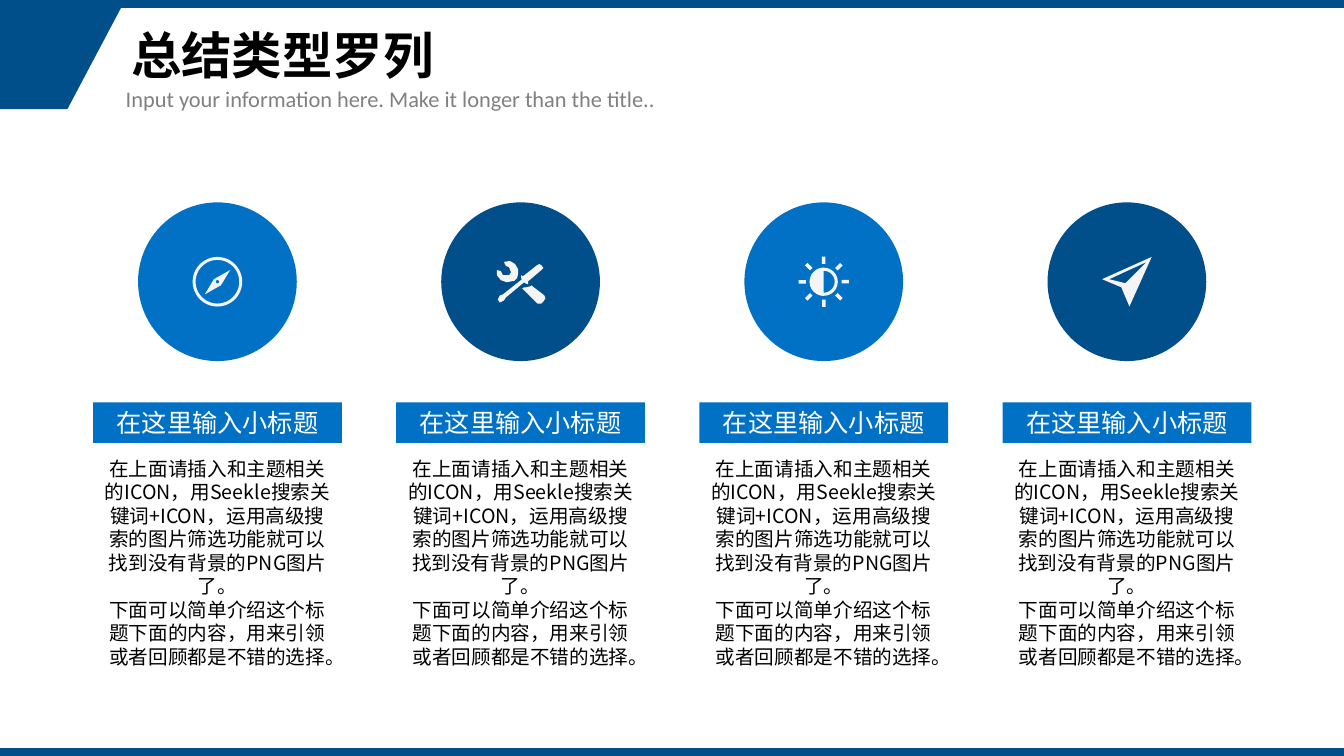
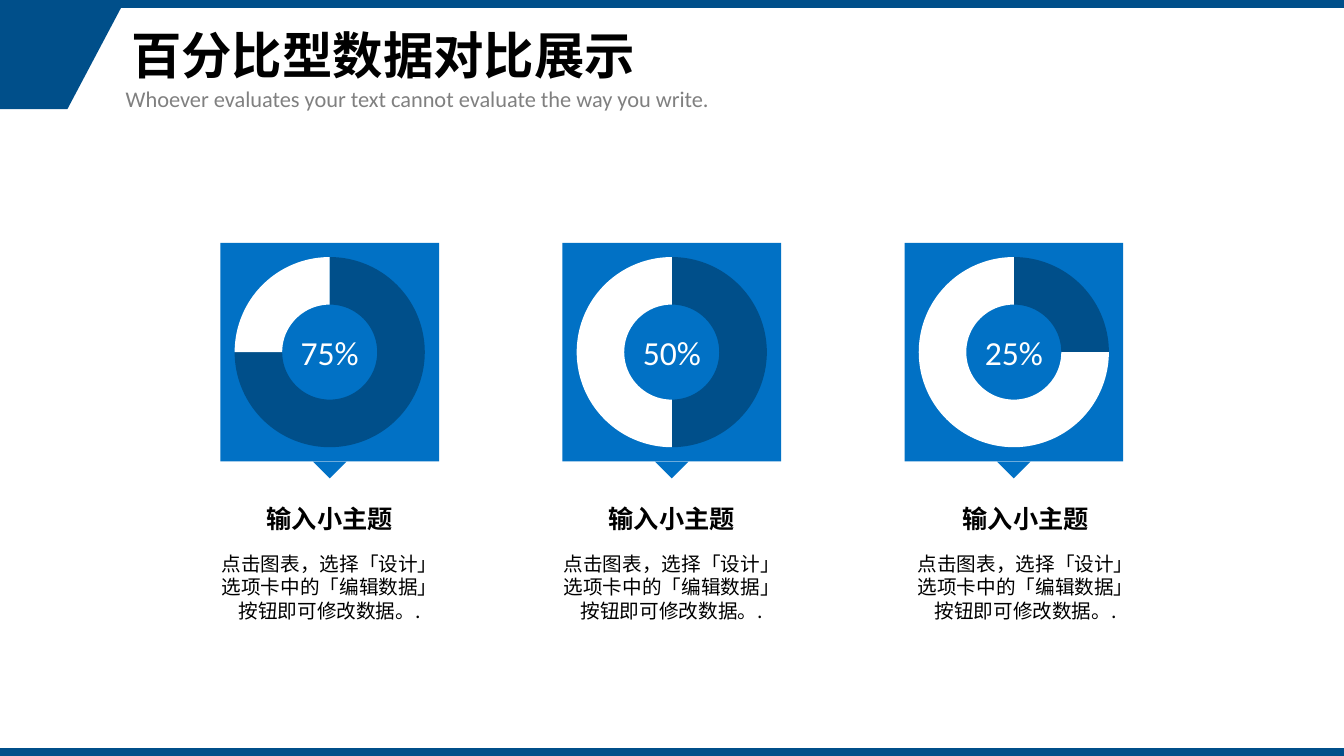
"""Build two slides: a four-column list of types and a comparison of percentages."""
from lxml import etree
from pptx import Presentation
from pptx import util as u
from pptx.chart import data as chart_data
from pptx.dml.color import RGBColor
from pptx.enum import chart as ch, shapes as sh, text as tx
from pptx.oxml import ns, parse_xml

NAVY = RGBColor(0x00, 0x4F, 0x8A)
BLUE = RGBColor(0x01, 0x71, 0xC5)
WHITE = RGBColor(0xFF, 0xFF, 0xFF)
PALE = RGBColor(0xF5, 0xF5, 0xF5)
GREY = RGBColor(0x80, 0x80, 0x80)
BLACK = RGBColor(0x00, 0x00, 0x00)

HAN, LATIN = "Noto Sans CJK SC", "Calibri"
LEFT, CENTER = tx.PP_ALIGN.LEFT, tx.PP_ALIGN.CENTER


def style(size, color, name=HAN, bold=False, align=CENTER, spacing=None):
    font = {"size": u.Pt(size), "name": name, "bold": bold}
    return {"font": font, "color": color,
            "paragraph": {"alignment": align, "line_spacing": spacing}}


TITLE = style(36, BLACK, bold=True, align=LEFT, spacing=0.9)
SUBTITLE = style(16, GREY, LATIN, align=LEFT)
LABEL = style(18, WHITE)
BODY = style(14, BLACK, spacing=u.Pt(16.8))
CAPTION = style(18, BLACK, bold=True, spacing=u.Pt(21.6))
PERCENT = style(24, WHITE, LATIN)

TYPES_TITLE = ("总结类型罗列",
               "Input your information here. Make it longer than the title..")
SHARES_TITLE = ("百分比型数据对比展示",
                "Whoever evaluates your text cannot evaluate the way you write.")
TYPE_LABEL = "在这里输入小标题"
TYPE_TEXT = [
    "在上面请插入和主题相关的ICON，用Seekle搜索关键词+ICON，运用高级搜索的图片筛选功能就可以找到没有背景的PNG图片了。",
    "下面可以简单介绍这个标题下面的内容，用来引领或者回顾都是不错的选择。",
]
SHARE_CAPTION = "输入小主题"
SHARE_TEXT = ["点击图表，选择「设计」选项卡中的「编辑数据」按钮即可修改数据。."]
SHARES = [(75, 0), (50, 0), (25, 0.3)]

ICON, GRID = 1.25, 49
NEEDLE = [(12, 37), (28, 28), (37, 13), (21, 22)]
WRENCH_HEAD = [(5, 23), (11, 25), (16, 24), (18, 24), (21, 21), (22, 17), (22, 12),
               (19, 7), (14, 4), (8, 5), (10, 9), (13, 10), (15, 15), (14, 17),
               (13, 18), (7, 18), (5, 14), (1, 13), (1, 18)]
WRENCH_GRIP = [(48, 38), (35, 28), (34, 29), (30, 30), (28, 30), (26, 31),
               (41, 46), (45, 46), (47, 44), (49, 41)]
SCREWDRIVER = [(29, 26), (32, 27), (32, 24), (45, 13), (47, 11), (45, 8), (43, 7),
               (41, 8), (27, 19), (25, 18), (25, 21), (26, 22), (7, 37), (4, 38),
               (2, 42), (4, 45), (8, 43), (10, 40), (28, 25)]
PLANE = [(0, 22), (19, 30), (27, 49), (49, 0)]
PLANE_FOLD = [(23, 26), (7, 22), (44, 5)]
CORNER = [(0, 20), (305, 20), (170, 275), (0, 275)]

SLIDE_W, SLIDE_H, BAND_H = 33.87, 19.05, 0.2
TEXT_W = 6.27


def paint(shape, color):
    shape.shadow.inherit = False
    shape.fill.solid()
    shape.fill.fore_color.rgb = color
    shape.line.fill.background()
    return shape


def add_preset(shapes, kind, box, color, adjustments=()):
    shape = paint(shapes.add_shape(kind, *map(u.Cm, box)), color)
    for index, value in enumerate(adjustments):
        shape.adjustments[index] = value
    return shape


def add_outline(shapes, contours, color, scale, origin=(0, 0)):
    first, *holes = contours
    builder = shapes.build_freeform(*first[0], scale=scale)
    builder.add_line_segments(first[1:], close=True)
    for hole in holes:
        builder.move_to(*hole[0])
        builder.add_line_segments(hole[1:], close=True)
    return paint(builder.convert_to_shape(*map(u.Cm, origin)), color)


def write(frame, lines, look):
    frame.word_wrap = True
    for index, line in enumerate(lines):
        paragraph = frame.add_paragraph() if index else frame.paragraphs[0]
        for key, value in look["paragraph"].items():
            setattr(paragraph, key, value)
        run = paragraph.add_run()
        run.text = line
        for key, value in look["font"].items():
            setattr(run.font, key, value)
        run.font.color.rgb = look["color"]
        latin = run.font._element.find(ns.qn("a:latin"))
        east_asian = etree.Element(ns.qn("a:ea"), typeface=look["font"]["name"])
        latin.addnext(east_asian)


def add_text(shapes, box, lines, look):
    write(shapes.add_textbox(*map(u.Cm, box)).text_frame, lines, look)


def prepare_layout(prs):
    layout = prs.slide_layouts[5]
    for holder in list(layout.placeholders):
        if holder.placeholder_format.idx:
            holder.element.getparent().remove(holder.element)
    place = {"left": 3.05, "top": 0.2, "width": 28.5, "height": 2.54}
    for key, value in place.items():
        setattr(layout.placeholders[0], key, u.Cm(value))
    return layout


def decorate(layout, slide):
    """Draw the bands and move them to the layout, so that every slide shows them."""
    bands = [add_preset(slide.shapes, sh.MSO_SHAPE.RECTANGLE,
                        (0, top, SLIDE_W, BAND_H), NAVY)
             for top in (SLIDE_H - BAND_H, 0)]
    bands.append(add_outline(slide.shapes, [CORNER], NAVY, u.Cm(0.01)))
    for band in bands:
        layout.shapes.element.insert(2, band.element)


def add_titles(slide, titles):
    title, subtitle = titles
    frame = slide.shapes.title.text_frame
    frame.auto_size = tx.MSO_AUTO_SIZE.NONE
    frame.vertical_anchor = tx.MSO_ANCHOR.MIDDLE
    write(frame, [title], TITLE)
    add_text(slide.shapes, (2.92, 2.03, 19.8, 0.94), [subtitle], SUBTITLE)


def centred(x, y, width, height):
    return x - width / 2, y - height / 2, width, height


def draw_polygons(shapes, x, y, *polygons):
    origin = centred(x, y, ICON, ICON)[:2]
    for contours in polygons:
        add_outline(shapes, contours, PALE, u.Cm(ICON) / GRID, origin)


def draw_compass(shapes, x, y):
    add_preset(shapes, sh.MSO_SHAPE.DONUT, centred(x, y, ICON, ICON), PALE, [0.06])
    draw_polygons(shapes, x, y, [NEEDLE])
    add_preset(shapes, sh.MSO_SHAPE.OVAL, centred(x, y, 0.08, 0.08), BLUE)


def draw_tools(shapes, x, y):
    draw_polygons(shapes, x, y, [WRENCH_HEAD], [WRENCH_GRIP], [SCREWDRIVER])


def draw_sun(shapes, x, y):
    disc = centred(x, y, 0.71, 0.71)
    add_preset(shapes, sh.MSO_SHAPE.DONUT, disc, PALE, [0.11])
    add_preset(shapes, sh.MSO_SHAPE.CHORD, disc, PALE, [54, 162])
    reach, diagonal = 0.54, 0.38
    offsets = [(0, -reach), (diagonal, -diagonal), (reach, 0), (diagonal, diagonal),
               (0, reach), (-diagonal, diagonal), (-reach, 0), (-diagonal, -diagonal)]
    for step, (dx, dy) in enumerate(offsets):
        ray = add_preset(shapes, sh.MSO_SHAPE.RECTANGLE,
                         centred(x + dx, y + dy, 0.09, 0.18), PALE)
        ray.rotation = 45 * step


def draw_plane(shapes, x, y):
    draw_polygons(shapes, x, y, [PLANE, PLANE_FOLD])


def build_types(slide):
    add_titles(slide, TYPES_TITLE)
    icons = [draw_compass, draw_tools, draw_sun, draw_plane]
    circle_y = 7.1
    for column, draw_icon in enumerate(icons):
        x = 5.48 + 7.64 * column
        shapes = slide.shapes.add_group_shape().shapes
        add_preset(shapes, sh.MSO_SHAPE.OVAL, centred(x, circle_y, 4, 4),
                   NAVY if column % 2 else BLUE)
        draw_icon(shapes, x, circle_y)
        left = x - TEXT_W / 2
        label = add_preset(shapes, sh.MSO_SHAPE.RECTANGLE,
                           (left, 10.14, TEXT_W, 1.02), BLUE)
        write(label.text_frame, [TYPE_LABEL], LABEL)
        add_text(shapes, (left, 11.38, TEXT_W, 5.64), TYPE_TEXT, BODY)


def add_doughnut(slide, box, share):
    data = chart_data.CategoryChartData()
    data.categories = ["1", "2"]
    data.add_series("Series 1", (share, 100 - share))
    chart = slide.shapes.add_chart(ch.XL_CHART_TYPE.DOUGHNUT, *map(u.Cm, box), data).chart
    chart.has_legend = chart.has_title = False
    for key, value in {"name": LATIN, "size": u.Pt(10)}.items():
        setattr(chart.font, key, value)
    chart.font.color.rgb = BLACK
    plot = chart.plots[0]
    plot.has_data_labels = False
    for index, color in enumerate((NAVY, WHITE)):
        part = plot.series[0].points[index].format
        part.fill.solid()
        part.fill.fore_color.rgb = color
        part.line.fill.background()

    space = chart.element
    space.find(".//" + ns.qn("c:holeSize")).set("val", "80")
    plot_area = space.find(".//" + ns.qn("c:plotArea"))
    for layout in plot_area.findall(ns.qn("c:layout")):
        plot_area.remove(layout)
    plot_area.insert(0, parse_xml(
        f'<c:layout {ns.nsdecls("c")}><c:manualLayout><c:layoutTarget val="inner"/>'
        '<c:xMode val="edge"/><c:yMode val="edge"/><c:x val="0.065"/><c:y val="0.065"/>'
        '<c:w val="0.87"/><c:h val="0.87"/></c:manualLayout></c:layout>'))
    space.find(ns.qn("c:chart")).addnext(parse_xml(
        f'<c:spPr {ns.nsdecls("c", "a")}><a:solidFill><a:srgbClr val="{BLUE}"/>'
        '</a:solidFill><a:ln><a:noFill/></a:ln></c:spPr>'))


def build_shares(slide):
    add_titles(slide, SHARES_TITLE)
    side, top = 5.51, 6.12
    for column, (share, caption_shift) in enumerate(SHARES):
        x = 8.31 + 8.62 * column
        add_doughnut(slide, (x - side / 2, top, side, side), share)
        add_text(slide.shapes, (x - 1.16, 8.23, 2.32, 1.27), [f"{share}%"], PERCENT)
        pointer = add_preset(slide.shapes, sh.MSO_SHAPE.RIGHT_TRIANGLE,
                             centred(x, top + side, 0.6, 0.6), BLUE)
        pointer.rotation = 315
        left = x - TEXT_W / 2 + caption_shift
        add_text(slide.shapes, (left, 12.55, TEXT_W, 1.02), [SHARE_CAPTION], CAPTION)
        add_text(slide.shapes, (left, 13.78, TEXT_W, 2.06), SHARE_TEXT, BODY)


def main():
    prs = Presentation()
    prs.slide_width, prs.slide_height = u.Cm(SLIDE_W), u.Cm(SLIDE_H)
    layout = prepare_layout(prs)
    types, shares = (prs.slides.add_slide(layout) for _ in range(2))
    decorate(layout, types)
    build_types(types)
    build_shares(shares)
    prs.save("out.pptx")


if __name__ == "__main__":
    main()
